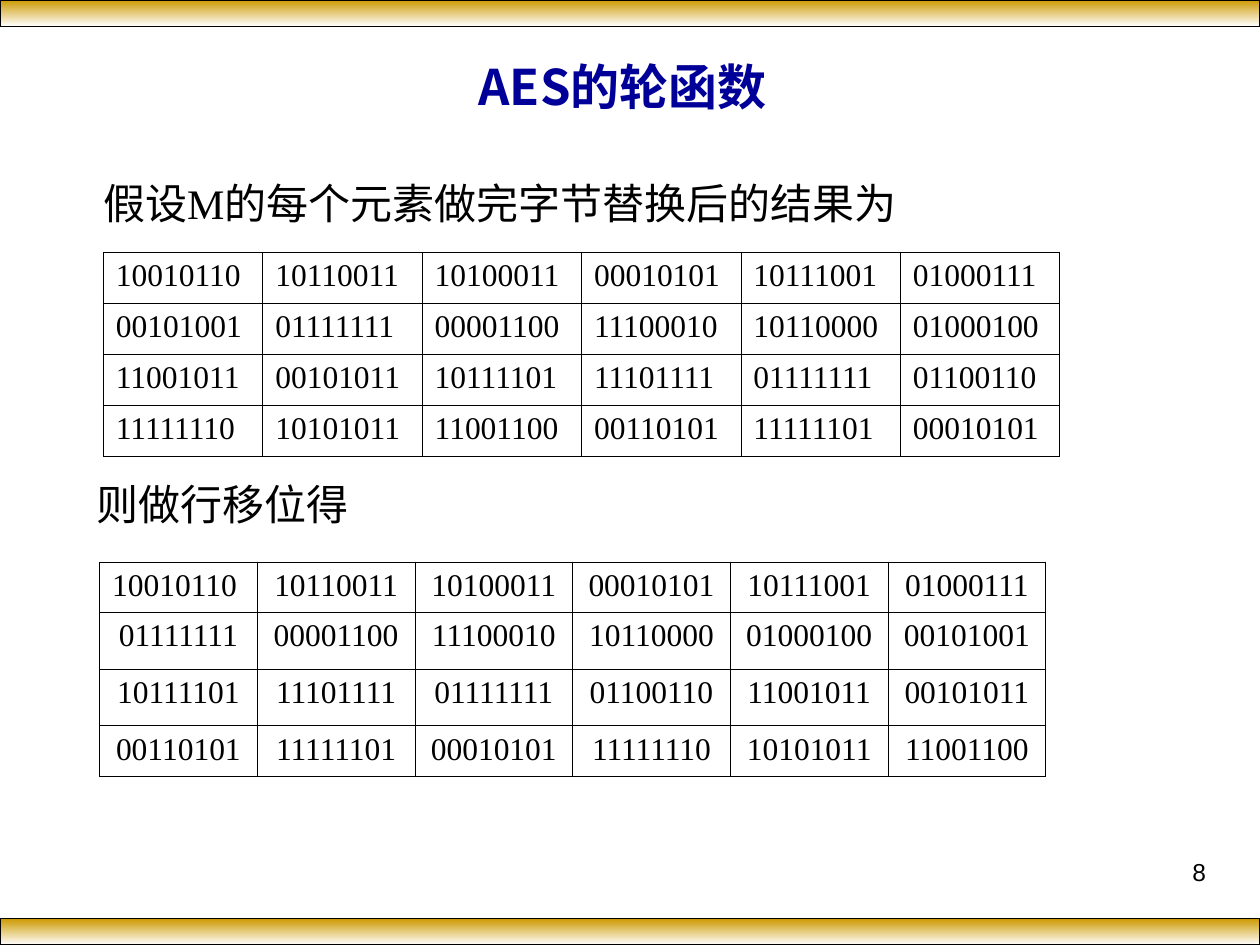
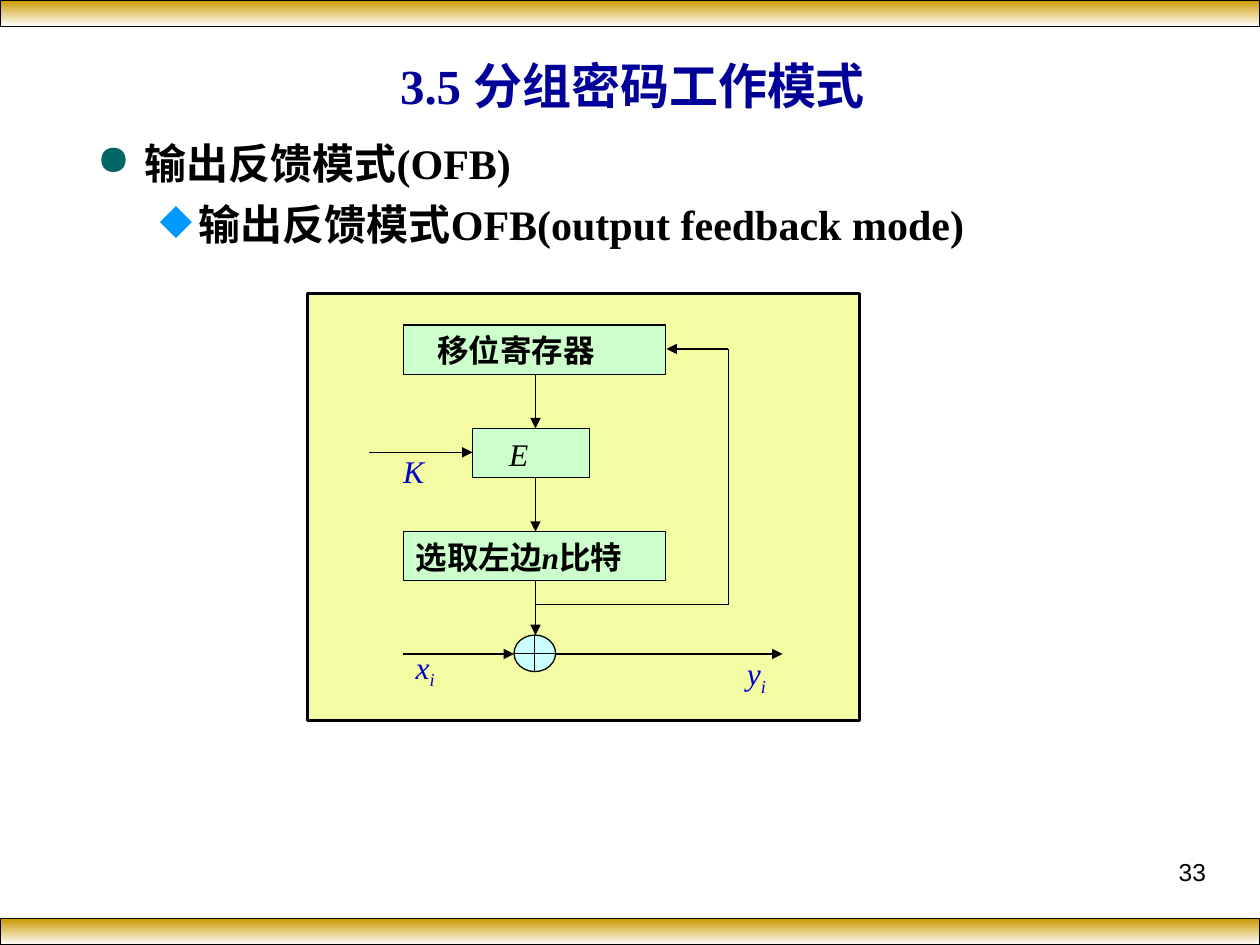
from dataclasses import dataclass

import pptx
import pptx.dml.color
import pptx.enum.shapes
import pptx.enum.text
import pptx.oxml
import pptx.oxml.ns
import pptx.util
from lxml import etree

Inches = pptx.util.Inches
Pt = pptx.util.Pt
Preset = pptx.enum.shapes.MSO_SHAPE
Align = pptx.enum.text.PP_ALIGN
Anchor = pptx.enum.text.MSO_ANCHOR
qn = pptx.oxml.ns.qn


@dataclass(frozen=True)
class Theme:
    black: str = "000000"
    gold: str = "CC9900"
    white: str = "FFFFFF"
    title: str = "000099"
    signal: str = "0000CC"
    bullet: str = "006666"
    sub_bullet: str = "0099FF"
    panel: str = "F3FBA3"
    step: str = "CCFFCC"
    xor: str = "CCFFFF"
    serif: str = "Times New Roman"
    sans: str = "Arial"
    cjk: str = "Noto Sans CJK SC"
    title_size: int = 28
    body_size: int = 24
    small_size: int = 18
    number_size: int = 14
    line: float = 0.75
    panel_line: float = 2
    grid_line: float = 0.45


THEME = Theme()

SUBSTITUTED = [row.split() for row in (
    "10010110 10110011 10100011 00010101 10111001 01000111",
    "00101001 01111111 00001100 11100010 10110000 01000100",
    "11001011 00101011 10111101 11101111 01111111 01100110",
    "11111110 10101011 11001100 00110101 11111101 00010101",
)]


def rgb(value):
    return pptx.dml.color.RGBColor.from_string(value)


def sub_element(parent, tag, **attributes):
    return etree.SubElement(parent, qn(tag), attributes)


# Text
def write_text(paragraph, text, size=THEME.small_size, font=THEME.serif, color=THEME.black,
               bold=False, italic=False, subscript=False, align=None):
    if align is not None:
        paragraph.alignment = align
    run = paragraph.add_run()
    run.text = text
    run.font.size = Pt(size)
    run.font.name = font
    run.font.bold = bold
    run.font.italic = italic
    run.font.color.rgb = rgb(color)
    properties = run._r.get_or_add_rPr()
    sub_element(properties, "a:ea", typeface=THEME.cjk)
    if subscript:
        properties.set("baseline", "-25000")


def add_text_box(shapes, box, text, anchor=Anchor.TOP, **style):
    frame = shapes.add_textbox(*map(Inches, box)).text_frame
    frame.word_wrap = True
    frame.vertical_anchor = anchor
    write_text(frame.paragraphs[0], text, **style)
    return frame


def set_bullet(paragraph, mark, color, margin, hanging):
    properties = paragraph._p.get_or_add_pPr()
    properties.set("marL", str(Inches(margin)))
    properties.set("indent", str(-Inches(hanging)))
    sub_element(sub_element(properties, "a:buClr"), "a:srgbClr", val=color)
    sub_element(properties, "a:buChar", char=mark)


# Shapes and lines
def add_box(shapes, box, fill=None, preset=Preset.RECTANGLE, width=THEME.line):
    shape = shapes.add_shape(preset, *map(Inches, box))
    shape.shadow.inherit = False
    if fill:
        shape.fill.solid()
        shape.fill.fore_color.rgb = rgb(fill)
    shape.line.color.rgb = rgb(THEME.black)
    shape.line.width = Pt(width)
    return shape


def add_step(shapes, box, runs, left_inset=0.1):
    frame = add_box(shapes, box, THEME.step).text_frame
    frame.word_wrap = True
    frame.vertical_anchor = Anchor.TOP
    frame.margin_left = Inches(left_inset)
    for text, style in runs:
        write_text(frame.paragraphs[0], text, align=Align.LEFT, **style)


def add_line(shapes, start, end, arrow=True):
    line = shapes.add_connector(pptx.enum.shapes.MSO_CONNECTOR.STRAIGHT,
                                *map(Inches, start + end))
    line.line.color.rgb = rgb(THEME.black)
    line.line.width = Pt(THEME.line)
    if arrow:
        sub_element(line.line._get_or_add_ln(), "a:tailEnd", type="triangle")
    sub_element(line._element.spPr, "a:effectLst")


def add_signal(shapes, box, name, index=None):
    frame = add_text_box(shapes, box, name, color=THEME.signal, italic=True)
    if index:
        write_text(frame.paragraphs[0], index, color=THEME.signal, italic=True, subscript=True)


# Tables
def set_borders(cell):
    properties = cell._tc.get_or_add_tcPr()
    for position, side in enumerate(("a:lnL", "a:lnR", "a:lnT", "a:lnB")):
        border = etree.Element(qn(side), w=str(Pt(THEME.grid_line)))
        fill = sub_element(border, "a:solidFill")
        sub_element(fill, "a:srgbClr", val=THEME.black)
        properties.insert(position, border)


def add_byte_table(shapes, box, rows, heights, align_at):
    table = shapes.add_table(len(rows), len(rows[0]), *map(Inches, box)).table
    table.first_row = table.horz_banding = False
    for column in table.columns:
        column.width = Inches(box[2] / len(rows[0]))
    for r, row in enumerate(rows):
        table.rows[r].height = Inches(heights[r])
        for c, byte in enumerate(row):
            cell = table.cell(r, c)
            cell.fill.background()
            set_borders(cell)
            write_text(cell.text_frame.paragraphs[0], byte, align=align_at(r, c))


# Shared slide frame
def add_slide(deck, title, title_box, number, title_font=THEME.serif):
    shapes = deck.slides.add_slide(deck.slide_layouts[6]).shapes
    for top in (0, 7.29):
        band = add_box(shapes, (0, top, 10, 0.21))
        band.fill.gradient()
        band.fill.gradient_angle = 270
        for stop, color in zip(band.fill.gradient_stops, (THEME.gold, THEME.white)):
            stop.color.rgb = rgb(color)
    add_text_box(shapes, (7.17, 6.75, 2.5, 0.52), number, size=THEME.number_size,
                 font=THEME.sans, align=Align.RIGHT)
    add_text_box(shapes, title_box, title, anchor=Anchor.MIDDLE, size=THEME.title_size,
                 font=title_font, color=THEME.title, bold=True, align=Align.CENTER)
    return shapes


def build_round_function(deck):
    shapes = add_slide(deck, "AES的轮函数", (0.27, 0.37, 9.34, 0.62), "8", THEME.cjk)
    add_text_box(shapes, (0.72, 1.36, 7.79, 0.5), "假设M的每个元素做完字节替换后的结果为",
                 size=THEME.body_size)
    add_byte_table(shapes, (0.82, 2, 7.59, 1.62), SUBSTITUTED, [1.62 / 4] * 4,
                   lambda r, c: Align.LEFT)
    add_text_box(shapes, (0.67, 3.75, 6.59, 0.5), "则做行移位得", size=THEME.body_size)
    # Row r rotates left by r bytes
    shifted = [row[r:] + row[:r] for r, row in enumerate(SUBSTITUTED)]
    add_byte_table(shapes, (0.79, 4.46, 7.51, 1.7), shifted, [0.4, 0.45, 0.45, 0.4],
                   lambda r, c: Align.CENTER if r or c else Align.LEFT)


def build_output_feedback(deck):
    shapes = add_slide(deck, "3.5 分组密码工作模式", (0.52, 0.4, 9, 0.55), "33")
    heading = {"size": THEME.body_size, "bold": True}
    outline = add_text_box(shapes, (0.67, 1.04, 8.61, 0.99), "输出反馈模式(OFB)", **heading)
    set_bullet(outline.paragraphs[0], "●", THEME.bullet, 0.38, 0.38)
    detail = outline.add_paragraph()
    detail.level = 1
    detail.space_before = Pt(6)
    set_bullet(detail, "◆", THEME.sub_bullet, 0.81, 0.31)
    write_text(detail, "输出反馈模式OFB(output feedback mode)", **heading)

    # Diagram: register, cipher and selection stacked on one axis
    diagram = shapes.add_group_shape().shapes
    axis, left, step_height = 4.25, 3.2, 0.39
    register_top, cipher_top, select_top = 2.58, 3.4, 4.22
    xor_top, xor_y, xor_left, xor_right = 5.04, 5.19, 4.08, 4.41
    feedback_x, register_y, tap_y = 5.78, 2.77, 4.8
    bold = {"bold": True}

    add_box(diagram, (2.44, 2.33, 4.38, 3.39), THEME.panel, width=THEME.panel_line)
    add_step(diagram, (left, register_top, 2.08, step_height), [("移位寄存器", bold)], 0.27)
    add_step(diagram, (3.75, cipher_top, 0.93, step_height), [("E", {"italic": True})], 0.29)
    add_step(diagram, (left, select_top, 2.08, step_height),
             [("选取左边", bold), ("n", {"bold": True, "italic": True}), ("比特", bold)])
    add_box(diagram, (xor_left, xor_top, 0.33, 0.29), THEME.xor, Preset.FLOWCHART_OR)

    # Downward flow
    tops = (register_top, cipher_top, select_top, xor_top)
    for top, next_top in zip(tops, tops[1:]):
        add_line(diagram, (axis, top + step_height), (axis, next_top))

    # Key, input and output
    add_line(diagram, (2.93, 3.59), (3.75, 3.59))
    add_line(diagram, (left, xor_y), (xor_left, xor_y))
    add_line(diagram, (xor_right, xor_y), (6.21, xor_y))
    add_signal(diagram, (3.1, 3.54, 0.38, 0.4), "K")
    add_signal(diagram, (left, 5.09, 0.6, 0.44), "x", "i")
    add_signal(diagram, (5.83, 5.14, 0.6, 0.44), "y", "i")

    # Feedback path
    add_line(diagram, (axis, tap_y), (feedback_x, tap_y), arrow=False)
    add_line(diagram, (feedback_x, register_y), (feedback_x, tap_y), arrow=False)
    add_line(diagram, (feedback_x, register_y), (5.29, register_y))


def main():
    deck = pptx.Presentation()
    deck.slide_width, deck.slide_height = Inches(10), Inches(7.5)
    build_round_function(deck)
    build_output_feedback(deck)
    deck.save("out.pptx")


if __name__ == "__main__":
    main()
